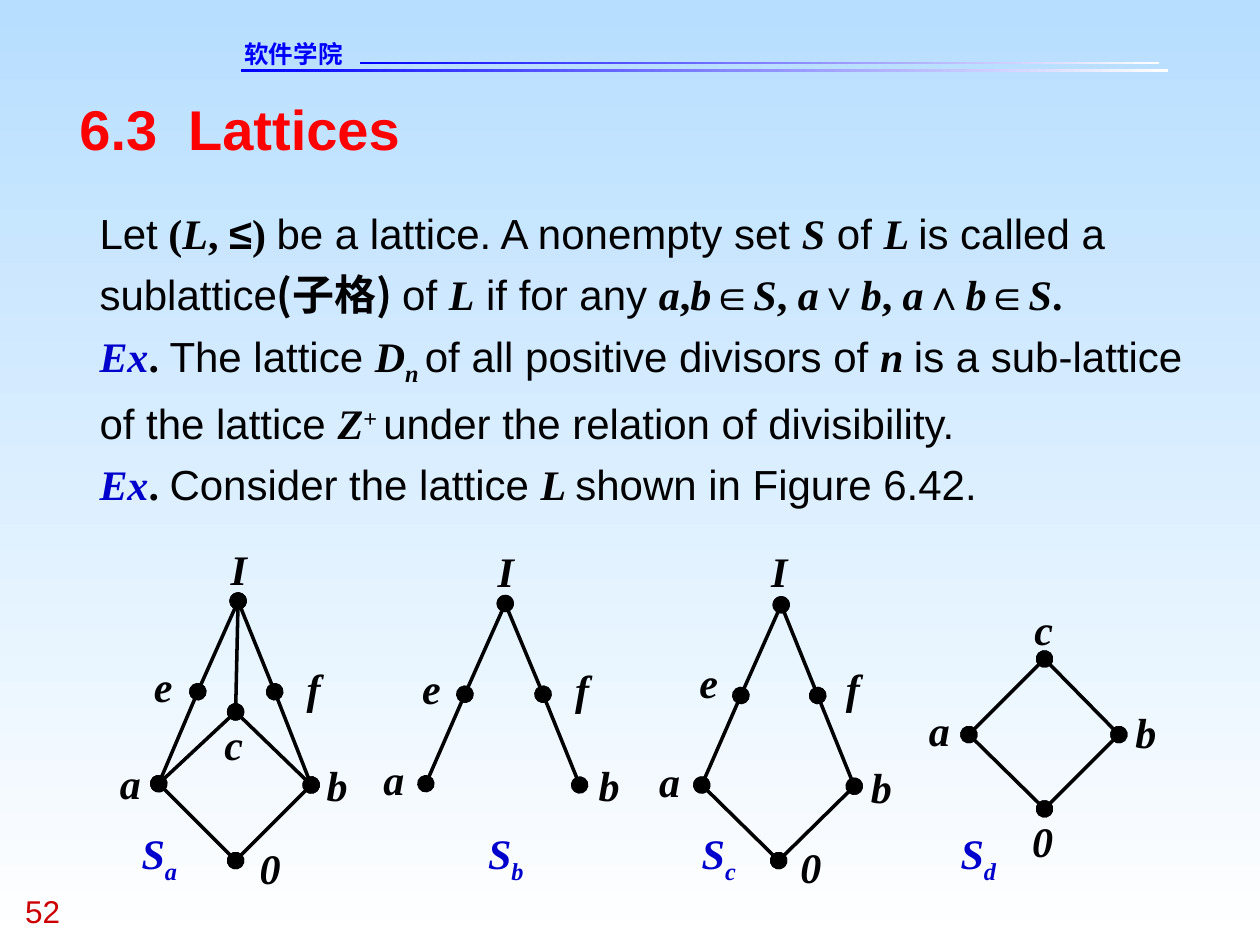
from lxml import etree
from pptx import Presentation
from pptx.dml.color import RGBColor
from pptx.enum.shapes import MSO_CONNECTOR, MSO_SHAPE
from pptx.enum.text import MSO_AUTO_SIZE, PP_ALIGN
from pptx.oxml.ns import qn
from pptx.util import Inches, Pt

STRAIGHT = MSO_CONNECTOR.STRAIGHT
RECTANGLE = MSO_SHAPE.RECTANGLE
GROW = MSO_AUTO_SIZE.SHAPE_TO_FIT_TEXT
LEFT, CENTER = PP_ALIGN.LEFT, PP_ALIGN.CENTER

SANS, SERIF = "Arial", "Times New Roman"
BLACK, BLUE, RED, WHITE = "000000", "0000CC", "FF0000", "FFFFFF"
SKY, BRIGHT_BLUE, DARK_RED = "B7DEFF", "0000FF", "CC0000"

# Run styles: font, bold, italic, colour, baseline shift in percent
STYLES = {
    "plain": (SANS, False, False, BLACK, 0),
    "symbol": (SANS, True, False, BLACK, 0),
    "bold": (SERIF, True, False, BLACK, 0),
    "variable": (SERIF, True, True, BLACK, 0),
    "subscript": (SERIF, True, True, BLACK, -25),
    "superscript": (SERIF, True, False, BLACK, 30),
    "chinese": ("Noto Sans CJK SC", True, False, BLACK, 0),
    "example": (SERIF, True, True, BLUE, 0),
    "example index": (SERIF, True, True, BLUE, -25),
    "title": (SANS, True, False, RED, 0),
    "school": ("DejaVu Sans", True, False, BRIGHT_BLUE, 0),
    "number": (SANS, False, False, DARK_RED, 0),
}

BODY = [
    [("Let", "plain"), (" (", "bold"), ("L", "variable"), (", ", "bold"),
     ("≤", "symbol"), (") ", "bold"),
     ("be a lattice. A nonempty set ", "plain"), ("S", "variable"),
     (" of ", "plain"), ("L ", "variable"),
     ("is called a sublattice", "plain"), ("(子格) ", "chinese"),
     ("of ", "plain"), ("L", "variable"), (" if for any ", "plain"),
     ("a", "variable"), (",", "bold"), ("b", "variable"), ("∈", "symbol"),
     ("S", "variable"), (", ", "bold"), ("a", "variable"), ("∨", "symbol"),
     ("b", "variable"), (", ", "bold"), ("a", "variable"), ("∧", "symbol"),
     ("b", "variable"), ("∈", "symbol"), ("S", "variable"), (".", "bold")],
    [("Ex", "example"), (". ", "bold"), ("The lattice ", "plain"),
     ("D", "variable"), ("n ", "subscript"),
     ("of all positive divisors of ", "plain"), ("n ", "variable"),
     ("is a sub-lattice of the lattice ", "plain"), ("Z", "variable"),
     ("+ ", "superscript"), ("under the relation of divisibility.", "plain")],
    [("Ex", "example"), (". ", "bold"), ("Consider the lattice ", "plain"),
     ("L ", "variable"), ("shown in Figure 6.42.", "plain")],
]

# Each lattice: index, left of its caption, edges,
# and nodes as (x, y, label left, label top)
LATTICES = [
    ("a", 1.1, "0b 0a ac bc cI eI ae fI bf", {
        "I": (1.89, 4.77, 1.83, 4.31), "e": (1.57, 5.49, 1.22, 5.24),
        "f": (2.18, 5.49, 2.41, 5.26), "c": (1.87, 5.65, 1.78, 5.7),
        "a": (1.26, 6.22, 0.95, 6.01), "b": (2.47, 6.23, 2.59, 6.03),
        "0": (1.87, 6.83, 2.06, 6.69)}),
    ("b", 3.85, "eI ae fI bf", {
        "I": (4.01, 4.79, 3.95, 4.33), "e": (3.69, 5.51, 3.35, 5.26),
        "f": (4.31, 5.51, 4.54, 5.27), "a": (3.38, 6.22, 3.04, 5.98),
        "b": (4.6, 6.23, 4.75, 6.03)}),
    ("c", 5.54, "0b 0a eI ae fI bf", {
        "I": (6.2, 4.8, 6.12, 4.33), "e": (5.88, 5.52, 5.55, 5.21),
        "f": (6.49, 5.52, 6.69, 5.26), "a": (5.57, 6.23, 5.23, 6),
        "b": (6.78, 6.24, 6.91, 6.04), "0": (6.18, 6.83, 6.35, 6.68)}),
    ("d", 7.6, "0b 0a ac bc", {
        "c": (8.29, 5.23, 8.21, 4.79), "a": (7.69, 5.83, 7.37, 5.59),
        "b": (8.88, 5.83, 9.01, 5.61), "0": (8.29, 6.42, 8.19, 6.47)}),
]
LABEL_WIDTHS = {"I": 0.13, "e": 0.15, "c": 0.15, "f": 0.16}


def color(hex_value):
    return RGBColor.from_string(hex_value)


def set_gradient(fill, start, end, angle):
    fill.gradient()
    fill.gradient_angle = angle
    for stop, value in zip(fill.gradient_stops, (start, end)):
        stop.color.rgb = color(value)


class LatticeSlide:
    def __init__(self, slide):
        self.slide = slide

    def background(self, top, bottom):
        set_gradient(self.slide.background.fill, top, bottom, 270)

    def rule(self, left, top, width):
        shape = self.slide.shapes.add_shape(
            RECTANGLE, Inches(left), Inches(top), Inches(width), Inches(0.02))
        shape.shadow.inherit = False
        shape.line.fill.background()
        set_gradient(shape.fill, WHITE, BRIGHT_BLUE, 180)

    def text(self, box, paragraphs, size=24, align=LEFT, spacing=None, wrap=True):
        """Place paragraphs, each a list of (text, style name) runs."""
        shape = self.slide.shapes.add_textbox(*map(Inches, box))
        frame = shape.text_frame
        frame.word_wrap = wrap
        frame.auto_size = GROW
        frame.margin_left = frame.margin_right = 0
        frame.margin_top = frame.margin_bottom = 0
        for index, runs in enumerate(paragraphs):
            paragraph = frame.add_paragraph() if index else frame.paragraphs[0]
            paragraph.alignment = align
            if spacing:
                paragraph.line_spacing = spacing
            for content, style in runs:
                self.run(paragraph, content, style, size)

    def run(self, paragraph, content, style, size):
        name, bold, italic, hex_value, baseline = STYLES[style]
        run = paragraph.add_run()
        run.text = content
        font = run.font
        font.name, font.size = name, Pt(size)
        font.bold, font.italic = bold, italic
        font.color.rgb = color(hex_value)
        properties = run._r.get_or_add_rPr()
        etree.SubElement(properties, qn("a:ea"), typeface=name)
        if baseline:
            properties.set("baseline", str(baseline * 1000))

    def edge(self, start, end):
        """Draw a line with a round dot at both ends."""
        connector = self.slide.shapes.add_connector(
            STRAIGHT, *map(Inches, (*start, *end)))
        connector.line.color.rgb = color(BLACK)
        connector.line.width = Pt(2)
        line = connector.line._get_or_add_ln()
        for tag in ("a:headEnd", "a:tailEnd"):
            etree.SubElement(line, qn(tag), type="oval", w="lg", len="lg")
        etree.SubElement(connector._element.spPr, qn("a:effectLst"))

    def lattice(self, index, caption_left, edges, nodes):
        for lower, upper in edges.split():
            self.edge(nodes[lower][:2], nodes[upper][:2])
        for name, (_, _, left, top) in nodes.items():
            width = LABEL_WIDTHS.get(name, 0.17)
            self.text((left, top, width, 0.4), [[(name, "variable")]],
                      align=CENTER, wrap=False)
        self.text((caption_left, 6.57, 0.33, 0.46),
                  [[("S", "example"), (index, "example index")]], align=CENTER)


def main():
    presentation = Presentation()
    presentation.slide_width = Inches(10)
    presentation.slide_height = Inches(7.5)
    page = LatticeSlide(
        presentation.slides.add_slide(presentation.slide_layouts[6]))

    page.background(SKY, WHITE)
    page.rule(1.91, 0.55, 7.36)
    page.rule(2.86, 0.49, 6.34)
    page.text((1.94, 0.31, 1.45, 0.23), [[("软件学院", "school")]], size=14)
    page.text((0.2, 7.08, 0.75, 0.3), [[("52", "number")]], size=18)
    page.text((0.63, 0.75, 8.75, 0.53), [[("6.3  Lattices", "title")]], size=32)
    page.text((0.79, 1.57, 8.76, 2.47), BODY, spacing=1.2)
    for lattice in LATTICES:
        page.lattice(*lattice)

    presentation.save("out.pptx")


if __name__ == "__main__":
    main()
